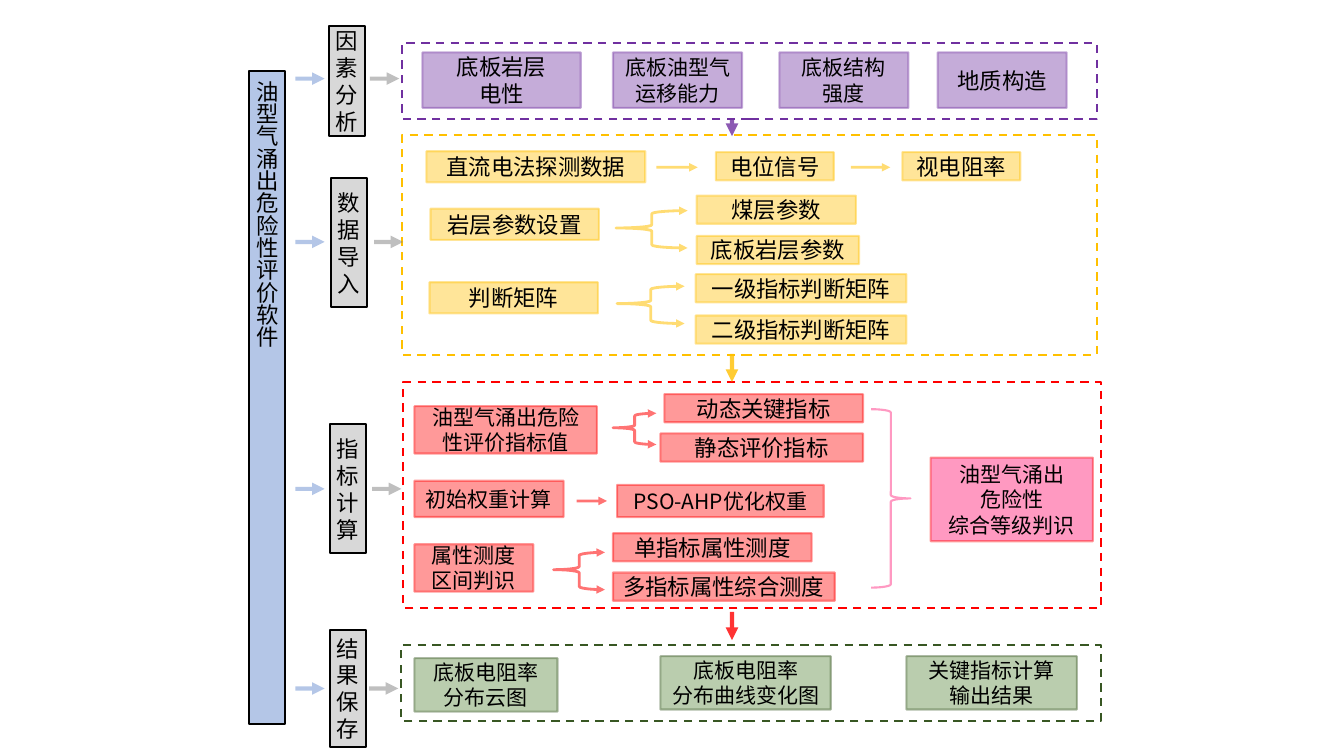
from lxml import etree
from pptx import Presentation
from pptx.dml.color import RGBColor
from pptx.enum.dml import MSO_LINE
from pptx.enum.shapes import MSO_CONNECTOR, MSO_SHAPE
from pptx.enum.text import MSO_ANCHOR, PP_ALIGN
from pptx.oxml.ns import qn
from pptx.util import Pt

PX = 9144  # EMU: 100 px to the inch
FONT = "Noto Sans CJK SC"
BLACK, BLUE, SILVER, GREY = "000000", "4472C4", "BFBFBF", "808080"
PURPLE, GOLD, RED, PINK = "7030A0", "FFC000", "FF0000", "FF0066"
GREEN, DARK_GREEN = "548235", "385723"

TITLE = ("油型气涌出危险性评价软件", (247, 70, 36, 648))

# label, label place, frame place, colour of frame and box lines, box fill,
# start of the grey arrow, height of the arrows,
# boxes as rows: top, height, [(text, left, width, size)]
STAGES = [
    ("因素分析", (326, 26, 36, 109), (399, 43, 689, 75), PURPLE, PURPLE, 367, 78, [
        (52, 55, [("底板岩层\n电性", 419, 157, 16),
                  ("底板油型气运移能力", 608, 128, 15),
                  ("底板结构\n强度", 773, 128, 15),
                  ("地质构造", 930, 128, 16)]),
    ]),
    ("数据导入", (328, 177, 36, 128), (399, 134, 689, 218), GOLD, GOLD, 371, 240, [
        (150, 31, [("直流电法探测数据", 423, 217, 16)]),
        (151, 28, [("电位信号", 710, 117, 16), ("视电阻率", 895, 117, 16)]),
        (207, 31, [("岩层参数设置", 427, 167, 16)]),
        (194, 28, [("煤层参数", 691, 158, 16)]),
        (234, 28, [("底板岩层参数", 691, 161, 16)]),
        (280, 31, [("判断矩阵", 426, 167, 16)]),
        (272, 28, [("一级指标判断矩阵", 690, 209, 16)]),
        (313, 28, [("二级指标判断矩阵", 690, 209, 16)]),
    ]),
    ("指标计算", (327, 421, 36, 128), (400, 379, 692, 224), RED, RED, 369, 485, [
        (403, 47, [("油型气涌出危险性评价指标值", 411, 181, 15)]),
        (391, 28, [("动态关键指标", 659, 197, 16)]),
        (430, 28, [("静态评价指标", 655, 201, 16)]),
        (477, 36, [("初始权重计算", 411, 148, 15)]),
        (481, 32, [("PSO-AHP优化权重", 612, 205, 15)]),
        (540, 47, [("属性测度区间判识", 411, 118, 15)]),
        (529, 28, [("单指标属性测度", 608, 197, 16)]),
        (568, 28, [("多指标属性综合测度", 608, 220, 16)]),
    ]),
    ("结果保存", (327, 625, 36, 116), (398, 640, 694, 75), DARK_GREEN, GREEN, 366, 683, [
        (653, 53, [("底板电阻率分布云图", 411, 142, 15)]),
        (651, 53, [("底板电阻率\n分布曲线变化图", 655, 169, 15),
                   ("关键指标计算\n输出结果", 899, 169, 15)]),
    ]),
]
VERDICT = ("油型气涌出\n危险性\n综合等级判识", (923, 454, 161, 83))
STAGE_ARROW_X, STAGE_ARROW_LENGTH = 293, 29

# left, right, height, colour
FLOW_ARROWS = [(651, 692, 166, GOLD), (844, 883, 166, GOLD), (572, 602, 497, RED)]
# top, bottom, colour
DOWN_ARROWS = [(119, 135, PURPLE), (351, 379, GOLD), (607, 635, RED)]
DOWN_ARROW_X = 726
FORKS = [((611, 209, 71, 37), GOLD), ((612, 284, 67, 37), GOLD),
         ((608, 410, 43, 31), RED), ((549, 548, 51, 37), RED)]
GATHER_BRACE = (864, 406, 39, 177)


def rgb(colour):
    return RGBColor.from_string(colour)


def paint(fill, colour, opacity=100):
    fill.solid()
    fill.fore_color.rgb = rgb(colour)
    if opacity < 100:
        tint = fill._xPr.find(qn("a:solidFill"))[0]
        etree.SubElement(tint, qn("a:alpha")).set("val", str(opacity * 1000))


def draw_line(line, colour, width, opacity=100, ends=()):
    """ends names the ends with a triangle: headEnd, tailEnd, in that order."""
    line.width = Pt(width)
    paint(line.fill, colour, opacity)
    for end in ends:
        etree.SubElement(line._get_or_add_ln(), qn("a:" + end)).set("type", "triangle")


def add_outline(slide, place, preset=MSO_SHAPE.RECTANGLE):
    shape = slide.shapes.add_shape(preset, *(length * PX for length in place))
    shape.shadow.inherit = False
    shape.fill.background()
    return shape


def add_text(shape, text, size, margin=0, alignment=PP_ALIGN.CENTER):
    frame = shape.text_frame
    frame.word_wrap = True
    frame.vertical_anchor = MSO_ANCHOR.MIDDLE
    frame.margin_left = frame.margin_right = margin * PX
    frame.margin_top = frame.margin_bottom = 0
    for index, words in enumerate(text.split("\n")):
        paragraph = frame.add_paragraph() if index else frame.paragraphs[0]
        paragraph.alignment = alignment
        paragraph.line_spacing = Pt(size * 1.2)
        run = paragraph.add_run()
        run.text = words
        run.font.size = Pt(size)
        run.font.name = FONT
        run.font.color.rgb = rgb(BLACK)
        east_asian = etree.SubElement(run.font._element, qn("a:ea"))
        east_asian.set("typeface", FONT)


def add_box(slide, text, place, size, fill, border):
    shape = add_outline(slide, place)
    paint(shape.fill, fill, 40)
    draw_line(shape.line, border, 1.5, 40)
    add_text(shape, text, size, margin=9)


def add_label(slide, text, place, fill, opacity):
    shape = add_outline(slide, place)
    paint(shape.fill, fill, opacity)
    draw_line(shape.line, BLACK, 1.5)
    add_text(shape, text, 16)
    return shape


def add_arrow(slide, start, end, colour, width, opacity):
    points = (length * PX for length in start + end)
    connector = slide.shapes.add_connector(MSO_CONNECTOR.STRAIGHT, *points)
    draw_line(connector.line, colour, width, opacity, ["tailEnd"])
    etree.SubElement(connector._element.spPr, qn("a:effectLst"))


def add_stage(slide, stage):
    label, label_place, frame_place, border, fill, grey_x, arrow_y, rows = stage
    add_label(slide, label, label_place, SILVER, 60)
    frame = add_outline(slide, frame_place)
    draw_line(frame.line, border, 1.5)
    frame.line.dash_style = MSO_LINE.DASH
    for top, height, boxes in rows:
        for text, left, width, size in boxes:
            add_box(slide, text, (left, top, width, height), size, fill, border)
    for left, colour, opacity in ((STAGE_ARROW_X, BLUE, 40), (grey_x, GREY, 50)):
        end = (left + STAGE_ARROW_LENGTH, arrow_y)
        add_arrow(slide, (left, arrow_y), end, colour, 3, opacity)


def main():
    presentation = Presentation()
    presentation.slide_width, presentation.slide_height = 1333 * PX, 750 * PX
    slide = presentation.slides.add_slide(presentation.slide_layouts[6])

    title = add_label(slide, *TITLE, BLUE, 40)
    title.text_frame._txBody.bodyPr.set("vert", "eaVert")
    title.text_frame.margin_top = 5 * PX
    title.text_frame.paragraphs[0].alignment = PP_ALIGN.LEFT

    for stage in STAGES:
        add_stage(slide, stage)
    add_box(slide, *VERDICT, 15, PINK, RED)

    for left, right, y, colour in FLOW_ARROWS:
        add_arrow(slide, (left, y), (right, y), colour, 2, 55)
    for top, bottom, colour in DOWN_ARROWS:
        add_arrow(slide, (DOWN_ARROW_X, top), (DOWN_ARROW_X, bottom), colour, 3, 80)
    for place, colour in FORKS:
        fork = add_outline(slide, place, MSO_SHAPE.LEFT_BRACE)
        fork.adjustments[1] = 0.465
        draw_line(fork.line, colour, 2, 55, ["headEnd", "tailEnd"])
    gather = add_outline(slide, GATHER_BRACE, MSO_SHAPE.RIGHT_BRACE)
    draw_line(gather.line, "FF99C2", 1.5)

    presentation.save("out.pptx")


if __name__ == "__main__":
    main()
